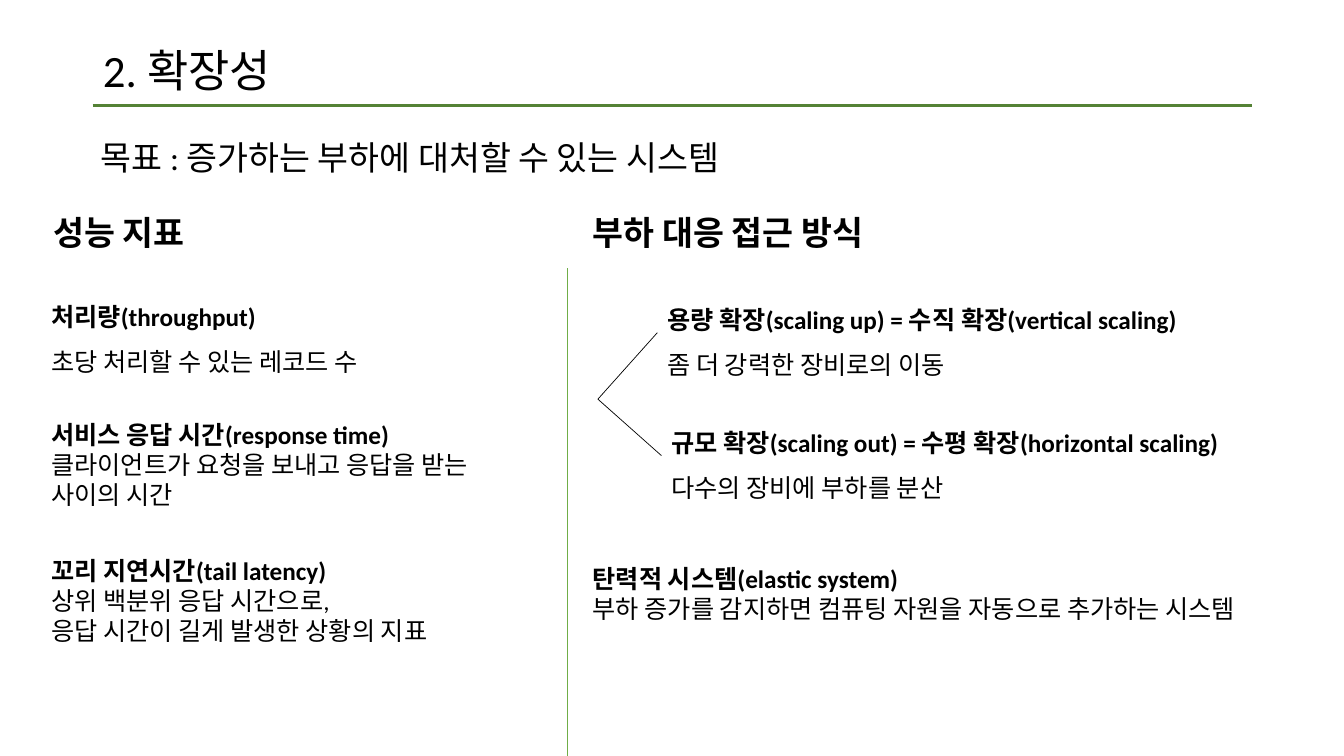
from lxml.etree import SubElement
from pptx import Presentation
from pptx.dml.color import RGBColor
from pptx.enum.shapes import MSO_CONNECTOR
from pptx.enum.text import MSO_ANCHOR, MSO_AUTO_SIZE, PP_ALIGN
from pptx.oxml.ns import qn
from pptx.util import Inches, Pt

FONT = "Calibri"
COLORS = {"text": "000000", "title_rule": "548235", "divider": "70AD47"}

TITLE = "2. 확장성"
GOAL = "목표 : 증가하는 부하에 대처할 수 있는 시스템"
LEFT_HEADING = "성능 지표"
RIGHT_HEADING = "부하 대응 접근 방식"

HEADINGS = [
    (0.9, 1.31, 6.88, GOAL, False),
    (0.43, 2.05, 1.62, LEFT_HEADING, True),
    (5.78, 2.05, 3.12, RIGHT_HEADING, True),
]

TERMS = [
    (0.41, 2.79, 3.52, 0.96, 1.5, "처리량(throughput)", ["초당 처리할 수 있는 레코드 수"]),
    (0.41, 3.96, 4.78, 1.16, 1.0, "서비스 응답 시간(response time)",
     ["클라이언트가 요청을 보내고 응답을 받는 ", "사이의 시간"]),
    (0.41, 5.31, 4.28, 1.16, 1.0, "꼬리 지연시간(tail latency)",
     ["상위 백분위 응답 시간으로, \v응답 시간이 길게 발생한 상황의 지표"]),
    (6.52, 2.82, 5.46, 0.96, 1.5, "용량 확장(scaling up) = 수직 확장(vertical scaling)",
     ["좀 더 강력한 장비로의 이동"]),
    (6.56, 4.04, 5.83, 0.96, 1.5, "규모 확장(scaling out) = 수평 확장(horizontal scaling)",
     ["다수의 장비에 부하를 분산"]),
    (5.78, 5.39, 7.17, 0.86, 1.0, "탄력적 시스템(elastic system)",
     ["부하 증가를 감지하면 컴퓨팅 자원을 자동으로 추가하는 시스템"]),
]

BRANCH_POINT = (5.93, 3.96)
LINES = [
    ((0.92, 1.05), (12.42, 1.05), "title_rule", 2.25),
    ((5.63, 2.66), (5.63, 7.5), "divider", 0.5),
    ((6.52, 3.3), BRANCH_POINT, "text", 0.5),
    ((6.56, 4.52), BRANCH_POINT, "text", 0.5),
]


def place(shape, left, top, width, height):
    shape.left, shape.top = Inches(left), Inches(top)
    shape.width, shape.height = Inches(width), Inches(height)


def write(para, text, size, bold=False, spacing=1.0):
    para.text = text
    para.alignment = PP_ALIGN.LEFT
    para.line_spacing = spacing
    for span in para.runs:
        span.font.name = FONT
        span.font.size = Pt(size)
        span.font.bold = bold
        span.font.color.rgb = RGBColor.from_string(COLORS["text"])


def add_text(page, left, top, width, height, lines):
    box = page.shapes.add_textbox(*map(Inches, (left, top, width, height)))
    frame = box.text_frame
    frame.word_wrap = False
    frame.auto_size = MSO_AUTO_SIZE.SHAPE_TO_FIT_TEXT
    for index, line in enumerate(lines):
        para = frame.add_paragraph() if index else frame.paragraphs[0]
        write(para, *line)


def add_line(page, start, end, color, weight):
    line = page.shapes.add_connector(MSO_CONNECTOR.STRAIGHT, *map(Inches, start + end))
    line.line.color.rgb = RGBColor.from_string(COLORS[color])
    line.line.width = Pt(weight)
    SubElement(line._element.spPr, qn("a:effectLst"))


deck = Presentation()
deck.slide_width, deck.slide_height = Inches(13.33), Inches(7.5)
page = deck.slides.add_slide(deck.slide_layouts[5])

title = page.shapes.title
place(title, 0.92, 0.4, 11.5, 0.65)
title.text_frame.vertical_anchor = MSO_ANCHOR.MIDDLE
title.text_frame.auto_size = MSO_AUTO_SIZE.NONE
write(title.text_frame.paragraphs[0], TITLE, 32, spacing=0.9)

for line in LINES:
    add_line(page, *line)

for left, top, width, text, bold in HEADINGS:
    add_text(page, left, top, width, 0.5, [(text, 24, bold)])

for left, top, width, height, spacing, term, meaning in TERMS:
    lines = [(term, 18, True, 1.5)] + [(text, 18, False, spacing) for text in meaning]
    add_text(page, left, top, width, height, lines)

deck.save("out.pptx")
